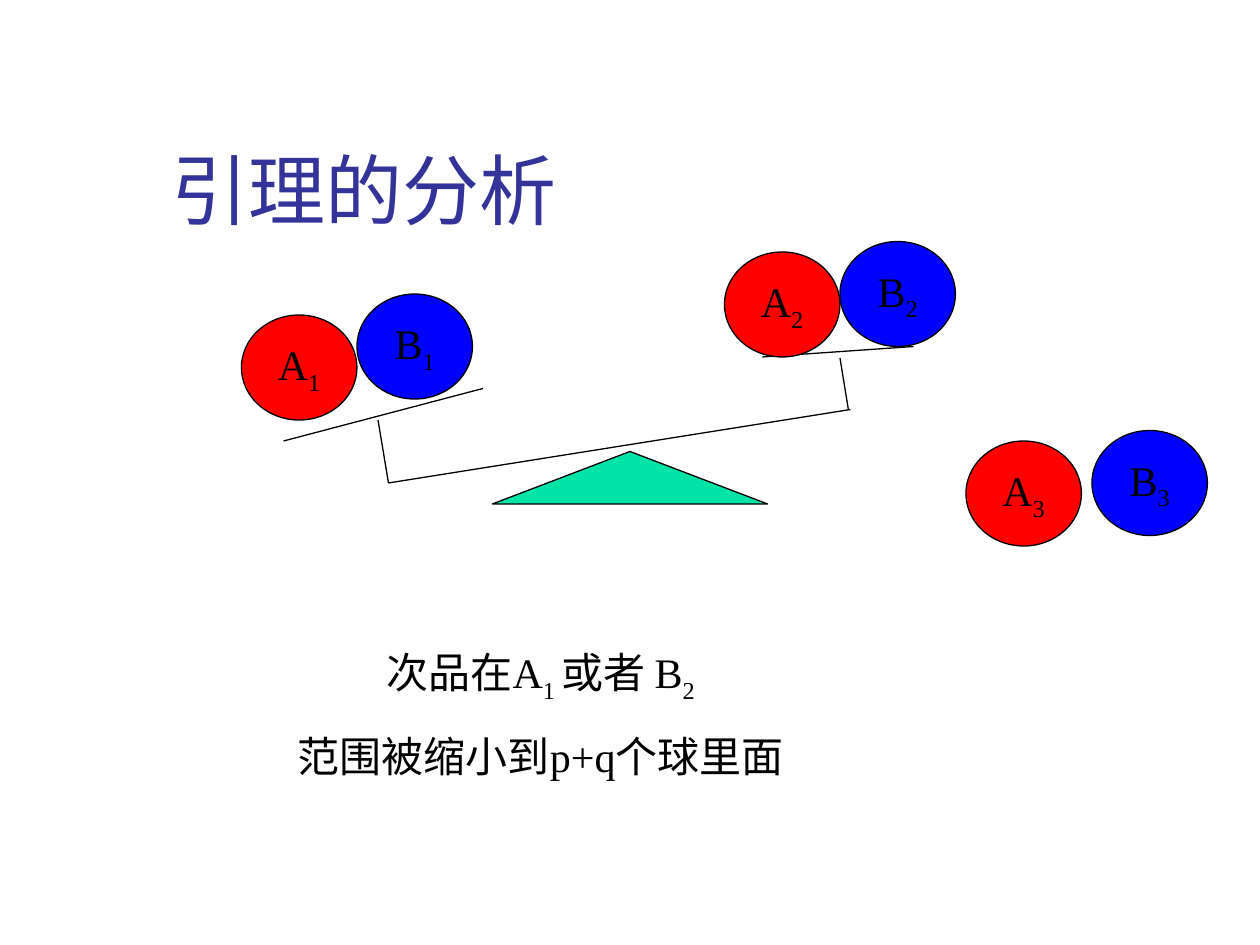
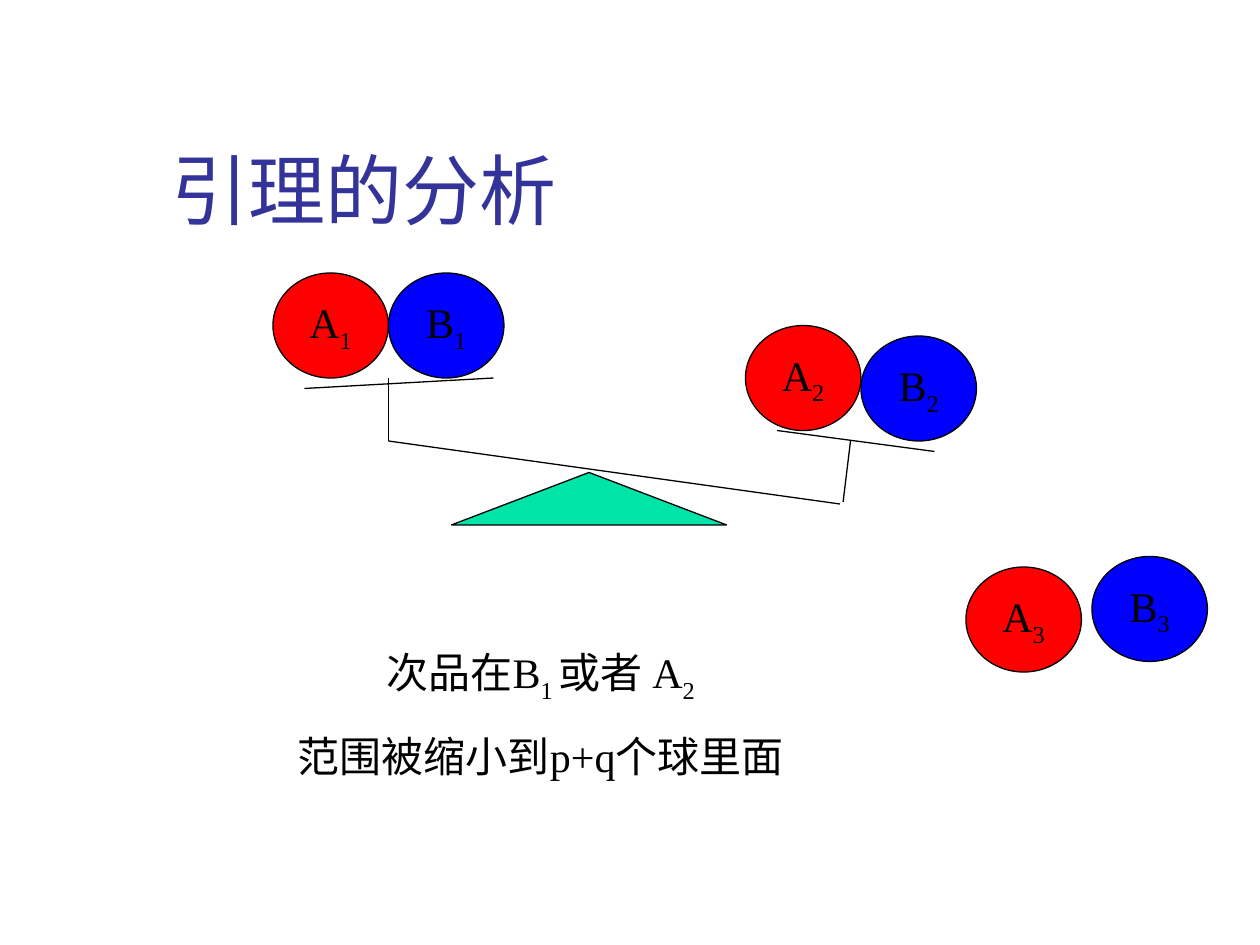
import pptx
import pptx.dml.color
import pptx.enum.shapes
import pptx.enum.text
import pptx.oxml.ns
import pptx.util
import lxml.etree

EMU_PER_PX = 7620
BLACK, RED, BLUE, GREEN, INDIGO = "000000", "FF0000", "0000FF", "00E4A8", "333399"
TITLE_FONT, TEXT_FONT = "Cabin", "Times New Roman"
TITLE_BOX = (151, 80, 1022, 150)
CONCLUSION_BOX = (190, 610, 650, 140)
BALL_SIZE = (110, 100)
FULCRUM_SIZE = (262, 50)
BALL_FILLS = {"A": RED, "B": BLUE}

SCENES = [
    {
        "balance_at": (230, 230),
        "fulcrum": (239, 200),
        "bars": [
            ((140, 230), (580, 160)),
            ((140, 230), (130, 170)),
            ((578, 160), (570, 111)),
            ((40, 190), (230, 140)),
            ((496, 110), (640, 100)),
        ],
        "balls": {"A1": (0, 70), "B1": (110, 50), "A2": (460, 10), "B2": (570, 0)},
        "spare_at": (920, 410),
        "suspects": ("A", "B"),
    },
    {
        "balance_at": (260, 260),
        "fulcrum": (170, 190),
        "bars": [
            ((110, 160), (110, 100)),
            ((30, 110), (210, 100)),
            ((543, 218), (550, 160)),
            ((480, 150), (630, 170)),
            ((110, 160), (540, 220)),
        ],
        "balls": {"A1": (0, 0), "B1": (110, 0), "A2": (450, 50), "B2": (560, 60)},
        "spare_at": (920, 530),
        "suspects": ("B", "A"),
    },
]
SPARE_BALLS = {"A3": (0, 10), "B3": (120, 0)}


def px(*lengths):
    return [pptx.util.Emu(length * EMU_PER_PX) for length in lengths]


def color(hex_string):
    return pptx.dml.color.RGBColor.from_string(hex_string)


def shift(origin, point):
    return origin[0] + point[0], origin[1] + point[1]


def style_font(font, name, size, hex_string):
    font.name = name
    font.size = pptx.util.Pt(size)
    font.color.rgb = color(hex_string)


def style_line(line):
    line.color.rgb = color(BLACK)
    line.width = pptx.util.Pt(0.75)


def write_spans(para, *parts):
    para.alignment = pptx.enum.text.PP_ALIGN.CENTER
    for position, part in enumerate(parts):
        span = para.add_run()
        span.text = part
        style_font(span.font, TEXT_FONT, 24, BLACK)
        if position % 2:
            span.font._element.set("baseline", "-25000")


def add_solid(page, kind, at, size, fill):
    shape = page.shapes.add_shape(kind, *px(*at, *size))
    shape.shadow.inherit = False
    shape.fill.solid()
    shape.fill.fore_color.rgb = color(fill)
    style_line(shape.line)
    return shape


def add_bar(page, start, end):
    bar = page.shapes.add_connector(
        pptx.enum.shapes.MSO_CONNECTOR.STRAIGHT, *px(*start, *end))
    style_line(bar.line)
    lxml.etree.SubElement(bar._element.spPr, pptx.oxml.ns.qn("a:effectLst"))


def add_balls(page, origin, balls):
    for label, offset in balls.items():
        letter, number = label
        ball = add_solid(page, pptx.enum.shapes.MSO_SHAPE.OVAL,
                         shift(origin, offset), BALL_SIZE, BALL_FILLS[letter])
        frame = ball.text_frame
        frame.word_wrap = False
        frame.vertical_anchor = pptx.enum.text.MSO_ANCHOR.MIDDLE
        write_spans(frame.paragraphs[0], letter, number)


def add_balance(page, origin, fulcrum, bars, balls):
    add_solid(page, pptx.enum.shapes.MSO_SHAPE.ISOSCELES_TRIANGLE,
              shift(origin, fulcrum), FULCRUM_SIZE, GREEN)
    for start, end in bars:
        add_bar(page, shift(origin, start), shift(origin, end))
    add_balls(page, origin, balls)


def add_title(page, box):
    title = page.shapes.title
    title.left, title.top, title.width, title.height = px(*box)
    frame = title.text_frame
    frame.text = "引理的分析"
    frame.auto_size = pptx.enum.text.MSO_AUTO_SIZE.NONE
    frame.vertical_anchor = pptx.enum.text.MSO_ANCHOR.BOTTOM
    para = frame.paragraphs[0]
    para.alignment = pptx.enum.text.PP_ALIGN.LEFT
    style_font(para.runs[0].font, TITLE_FONT, 44, INDIGO)


def add_conclusion(page, box, suspects):
    frame = page.shapes.add_textbox(*px(*box)).text_frame
    frame.word_wrap = True
    first, second = suspects
    write_spans(frame.paragraphs[0], f"次品在{first}", "1 ", f"或者 {second}", "2")
    para = frame.add_paragraph()
    para.space_before = pptx.util.Pt(15)
    write_spans(para, "范围被缩小到p+q个球里面")


def add_weighing_page(deck, scene):
    page = deck.slides.add_slide(deck.slide_layouts[5])
    add_title(page, TITLE_BOX)
    add_balance(page, scene["balance_at"], scene["fulcrum"], scene["bars"], scene["balls"])
    add_balls(page, scene["spare_at"], SPARE_BALLS)
    add_conclusion(page, CONCLUSION_BOX, scene["suspects"])


def main():
    deck = pptx.Presentation()
    deck.slide_width, deck.slide_height = px(1200, 900)
    for scene in SCENES:
        add_weighing_page(deck, scene)
    deck.save("out.pptx")


if __name__ == "__main__":
    main()
